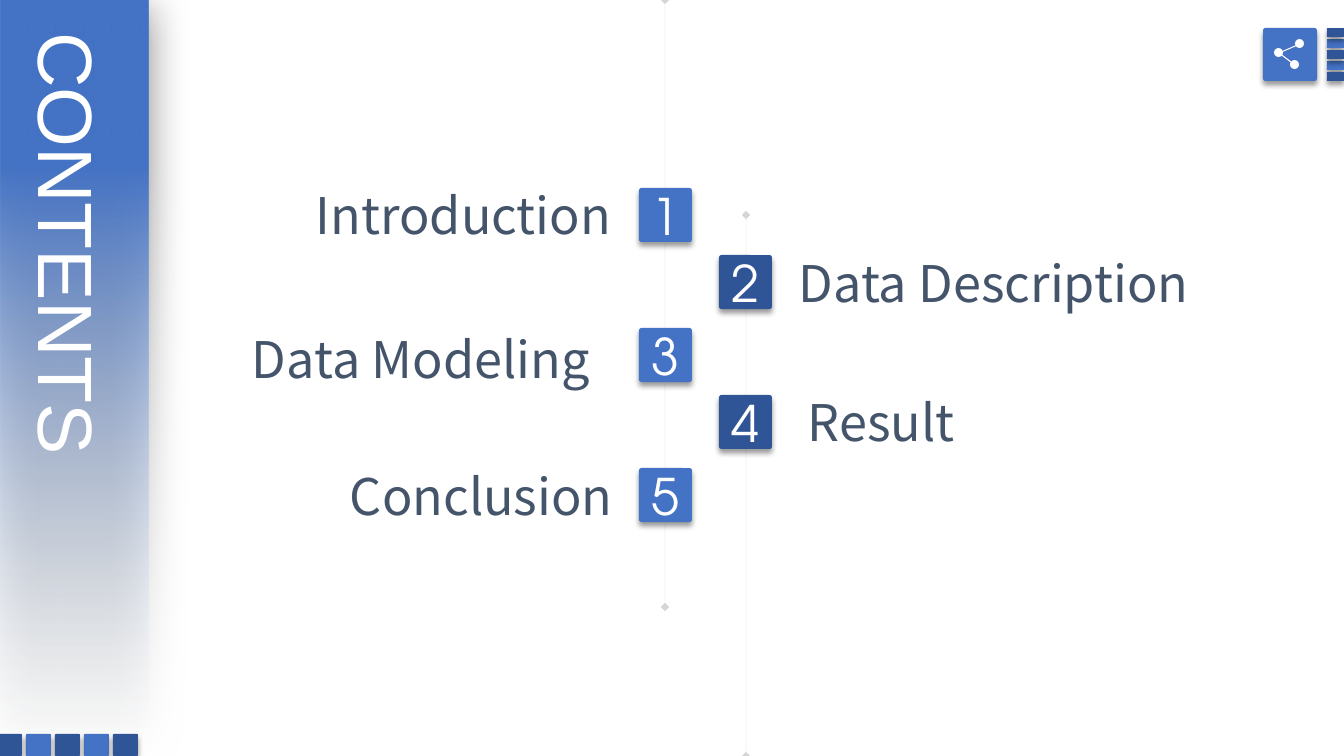
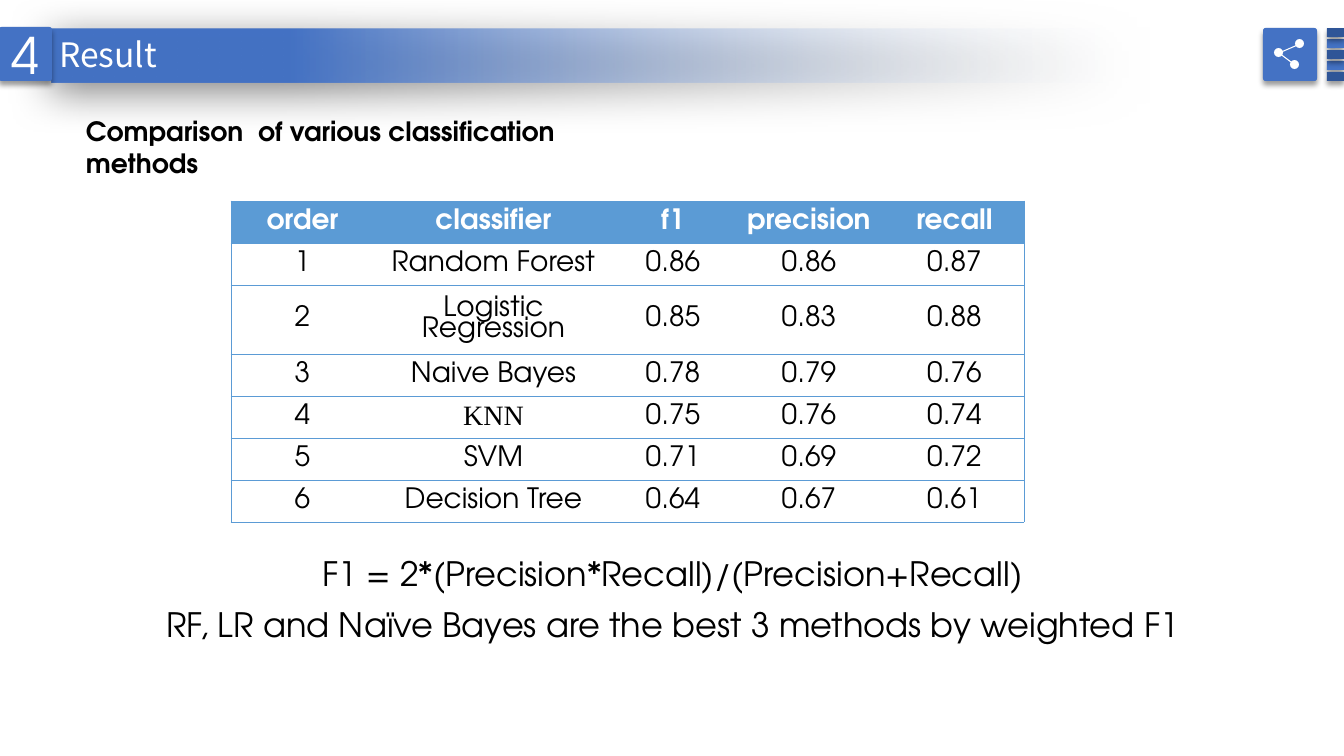
from dataclasses import dataclass
from typing import NamedTuple

from lxml import etree
from pptx import Presentation
from pptx.dml.color import RGBColor
from pptx.enum.shapes import MSO_CONNECTOR, MSO_SHAPE
from pptx.enum.text import MSO_ANCHOR, MSO_AUTO_SIZE, PP_ALIGN
from pptx.oxml.ns import qn
from pptx.util import Pt

EMU_PER_PX = 914400 / 100.8
TITLE_ONLY = 5
STRAIGHT = MSO_CONNECTOR.STRAIGHT
RECTANGLE, ROUNDED, OVAL = MSO_SHAPE.RECTANGLE, MSO_SHAPE.ROUNDED_RECTANGLE, MSO_SHAPE.OVAL
TOP, MIDDLE = MSO_ANCHOR.TOP, MSO_ANCHOR.MIDDLE
LEFT, CENTER = PP_ALIGN.LEFT, PP_ALIGN.CENTER
NO_AUTOFIT = MSO_AUTO_SIZE.NONE

COLORS = {
    "blue": "4472C4",
    "navy": "2F5597",
    "pale": "F7FAFD",
    "slate": "44546A",
    "gray": "808080",
    "table": "5B9BD5",
    "white": "FFFFFF",
    "black": "000000",
}
BODY_FONT, LABEL_FONT = "TeX Gyre Adventor", "Noto Sans CJK SC"


class Box(NamedTuple):
    left: int
    top: int
    width: int
    height: int


class Shadow(NamedTuple):
    opacity: int
    blur: int
    distance: int
    angle: int


class TextStyle(NamedTuple):
    font: str
    size: int
    color: str
    bold: bool = False


@dataclass
class Entry:
    label: str
    left: int
    top: int
    width: int


TILE_SHADOW = Shadow(40, 4, 3, 90)
BAND_SHADOW = Shadow(50, 31, 6, 97)
NUMBER = TextStyle(BODY_FONT, 36, "white")
LABEL = TextStyle(LABEL_FONT, 36, "slate")
CONTENTS_TITLE = TextStyle("Arial", 55, "white")
SECTION_TITLE = TextStyle(LABEL_FONT, 24, "white")
HEADING = TextStyle(BODY_FONT, 19, "black", True)
HEADER_CELL = TextStyle(BODY_FONT, 20, "white", True)
BODY_CELL = TextStyle(BODY_FONT, 20, "black")
REMARK = TextStyle(BODY_FONT, 24, "black")

ENTRIES = [
    Entry("Introduction", 306, 179, 322),
    Entry("Data Description", 789, 247, 427),
    Entry("Data Modeling", 242, 323, 383),
    Entry("Result", 798, 386, 168),
    Entry("Conclusion", 340, 460, 289),
]
TILE_SIZE = (53, 54)
TILE_PITCH = 140
TILE_STARTS = [(639, 188, "blue"), (719, 255, "navy")]
TIMELINES = [(746, 215, 756), (665, 0, 607)]

COLUMN_WIDTHS = [143, 239, 120, 152, 139]
ROW_HEIGHT, TALL_ROW_HEIGHT, TALL_ROW = 42, 69, 2
SCORES = [
    ("order", "classifier", "f1", "precision", "recall"),
    ("1", "Random Forest", "0.86", "0.86", "0.87"),
    ("2", "Logistic Regression", "0.85", "0.83", "0.88"),
    ("3", "Naive Bayes", "0.78", "0.79", "0.76"),
    ("4", "KNN", "0.75", "0.76", "0.74"),
    ("5", "SVM", "0.71", "0.69", "0.72"),
    ("6", "Decision Tree", "0.64", "0.67", "0.61"),
]
REMARKS = [
    "F1 = 2*(Precision*Recall)/(Precision+Recall)",
    "RF, LR and Naïve Bayes are the best 3 methods by weighted F1",
]


def px(length: int) -> int:
    return round(length * EMU_PER_PX)


def emu(box: Box) -> list[int]:
    return [px(length) for length in box]


def rgb(name: str) -> RGBColor:
    return RGBColor.from_string(COLORS[name])


def add_child(parent, tag: str, **attributes):
    child = etree.SubElement(parent, qn(tag))
    for name, value in attributes.items():
        child.set(name, str(value))
    return child


def set_opacity(properties, percent: int) -> None:
    """Make the first colour below an element partly transparent."""
    color = properties.find(".//" + qn("a:srgbClr"))
    add_child(color, "a:alpha", val=percent * 1000)


def add_shadow(shape, shadow: Shadow) -> None:
    effects = shape.element.spPr.find(qn("a:effectLst"))
    outer = add_child(effects, "a:outerShdw", blurRad=Pt(shadow.blur), dist=Pt(shadow.distance),
                      dir=shadow.angle * 60000, algn="ctr", rotWithShape=0)
    add_child(outer, "a:srgbClr", val=COLORS["black"])
    set_opacity(outer, shadow.opacity)


def style_paragraph(paragraph, style: TextStyle, alignment=LEFT) -> None:
    paragraph.alignment = alignment
    font = paragraph.font
    font.name, font.size, font.bold = style.font, Pt(style.size), style.bold
    font.color.rgb = rgb(style.color)


def add_plain_shape(shapes, kind, box: Box, color: str):
    shape = shapes.add_shape(kind, *emu(box))
    shape.shadow.inherit = False
    shape.line.fill.background()
    shape.fill.solid()
    shape.fill.fore_color.rgb = rgb(color)
    return shape


def add_tile(shapes, box: Box, color: str, number: str = "") -> None:
    tile = add_plain_shape(shapes, ROUNDED, box, color)
    tile.adjustments[0] = 0.05
    add_shadow(tile, TILE_SHADOW)
    if number:
        tile.text_frame.text = number
        tile.text_frame.vertical_anchor = MIDDLE
        style_paragraph(tile.text_frame.paragraphs[0], NUMBER, CENTER)


def add_tile_strip(shapes, first: Box, step_x: int, step_y: int) -> None:
    """Five small tiles, navy and blue in turn, with the navy ones in front."""
    for index in (1, 3, 0, 2, 4):
        box = first._replace(left=first.left + index * step_x, top=first.top + index * step_y)
        add_tile(shapes, box, "blue" if index % 2 else "navy")


def add_line(shapes, start: tuple[int, int], end: tuple[int, int], color: str, width: float):
    connector = shapes.add_connector(STRAIGHT, *map(px, start + end))
    connector.line.color.rgb = rgb(color)
    connector.line.width = Pt(width)
    add_child(connector.element.spPr, "a:effectLst")
    return connector


def add_share_badge(slide) -> None:
    shapes = slide.shapes.add_group_shape().shapes
    add_tile_strip(shapes, Box(1327, 28, 17, 9), 0, 11)
    add_tile(shapes, Box(1263, 28, 54, 53), "blue")
    hub, *others = [(1279, 53), (1300, 44), (1295, 65)]
    for node in others:
        add_line(shapes, hub, node, "white", 0.75)
    for x, y in [hub, *others]:
        add_plain_shape(shapes, OVAL, Box(x - 5, y - 5, 9, 9), "white")


def add_band(slide, box: Box, rotation: int = 0) -> None:
    """A bar that fades from blue to clear."""
    band = add_plain_shape(slide.shapes, RECTANGLE, box, "blue")
    band.rotation = rotation
    band.fill.gradient()
    band.fill.gradient_angle = 180
    for stop, color, position in zip(band.fill.gradient_stops, ("pale", "blue"), (0, 0.78)):
        stop.color.rgb = rgb(color)
        stop.position = position
    set_opacity(band.element.spPr, 0)
    add_shadow(band, BAND_SHADOW)


def place_title(slide, text: str, box: Box, style: TextStyle, direction: str = "horz") -> None:
    """Fill the title placeholder and bring it in front of what is drawn so far."""
    title = slide.shapes.title
    title.left, title.top, title.width, title.height = emu(box)
    frame = title.text_frame
    frame.text = text
    frame.word_wrap = True
    frame.auto_size = NO_AUTOFIT
    frame.vertical_anchor = TOP
    frame.paragraphs[0].line_spacing = 1.0
    style_paragraph(frame.paragraphs[0], style)
    title.element.txBody.find(qn("a:bodyPr")).set("vert", direction)
    title.element.getparent().append(title.element)


def add_text(slide, lines: list[str], box: Box, style: TextStyle, alignment=LEFT,
             line_spacing: float = 1.0, gap: int = 0) -> None:
    frame = slide.shapes.add_textbox(*emu(box)).text_frame
    frame.word_wrap = True
    for index, line in enumerate(lines):
        paragraph = frame.add_paragraph() if index else frame.paragraphs[0]
        paragraph.text = line
        paragraph.line_spacing = line_spacing
        if index:
            paragraph.space_before = Pt(gap)
        style_paragraph(paragraph, style, alignment)


def set_borders(cell, visible: dict[str, bool]) -> None:
    properties = cell._tc.get_or_add_tcPr()
    for side, shown in visible.items():
        line = add_child(properties, f"a:ln{side}", w=Pt(0.5))
        if shown:
            add_child(add_child(line, "a:solidFill"), "a:srgbClr", val=COLORS["table"])
        else:
            add_child(line, "a:noFill")


def add_score_table(slide, left: int, top: int) -> None:
    heights = [TALL_ROW_HEIGHT if row == TALL_ROW else ROW_HEIGHT for row in range(len(SCORES))]
    box = Box(left, top, sum(COLUMN_WIDTHS), sum(heights))
    table = slide.shapes.add_table(len(SCORES), len(COLUMN_WIDTHS), *emu(box)).table
    table.horz_banding = False
    for column, width in zip(table.columns, COLUMN_WIDTHS):
        column.width = px(width)
    for row, height in zip(table.rows, heights):
        row.height = px(height)
    last_column = len(COLUMN_WIDTHS) - 1
    for row, values in enumerate(SCORES):
        for column, value in enumerate(values):
            cell = table.cell(row, column)
            set_borders(cell, {"L": column == 0, "R": column == last_column, "T": True, "B": True})
            cell.fill.solid()
            cell.fill.fore_color.rgb = rgb("white" if row else "table")
            cell.margin_left = cell.margin_right = cell.margin_top = px(2)
            cell.margin_bottom = 0
            cell.vertical_anchor = MIDDLE
            cell.text = value
            style = BODY_CELL if row else HEADER_CELL
            if value == "KNN":
                style = style._replace(font="Times New Roman")
            paragraph = cell.text_frame.paragraphs[0]
            paragraph.line_spacing = 0.8
            style_paragraph(paragraph, style, CENTER)


def build_contents(slide) -> None:
    for x, top, bottom in TIMELINES:
        timeline = add_line(slide.shapes, (x, top), (x, bottom), "gray", 0.25)
        line = timeline.element.spPr.find(qn("a:ln"))
        set_opacity(line, 33)
        for end in ("a:headEnd", "a:tailEnd"):
            add_child(line, end, type="diamond")
    add_band(slide, Box(-302, 301, 752, 148), 90)
    add_tile_strip(slide.shapes.add_group_shape().shapes, Box(-3, 734, 25, 22), 29, 0)
    place_title(slide, "CONTENTS", Box(12, 27, 114, 498), CONTENTS_TITLE, "eaVert")
    for index, entry in enumerate(ENTRIES):
        left, top, color = TILE_STARTS[index % 2]
        tile_box = Box(left, top + index // 2 * TILE_PITCH, *TILE_SIZE)
        add_tile(slide.shapes, tile_box, color, str(index + 1))
        add_text(slide, [entry.label], Box(entry.left, entry.top, entry.width, 72), LABEL)
    add_share_badge(slide)


def build_result(slide) -> None:
    add_band(slide, Box(52, 29, 1076, 53))
    add_tile(slide.shapes, Box(-1, 27, *TILE_SIZE), "blue", "4")
    add_share_badge(slide)
    place_title(slide, "Result", Box(49, 29, 309, 51), SECTION_TITLE)
    add_text(slide, ["Comparison  of various classification methods"], Box(76, 110, 551, 40), HEADING)
    add_score_table(slide, 231, 201)
    add_text(slide, REMARKS, Box(93, 553, 1159, 142), REMARK, CENTER, 0.9, 10)


def main() -> None:
    presentation = Presentation()
    presentation.slide_width, presentation.slide_height = px(1344), px(756)
    for build in (build_contents, build_result):
        build(presentation.slides.add_slide(presentation.slide_layouts[TITLE_ONLY]))
    presentation.save("out.pptx")


if __name__ == "__main__":
    main()
